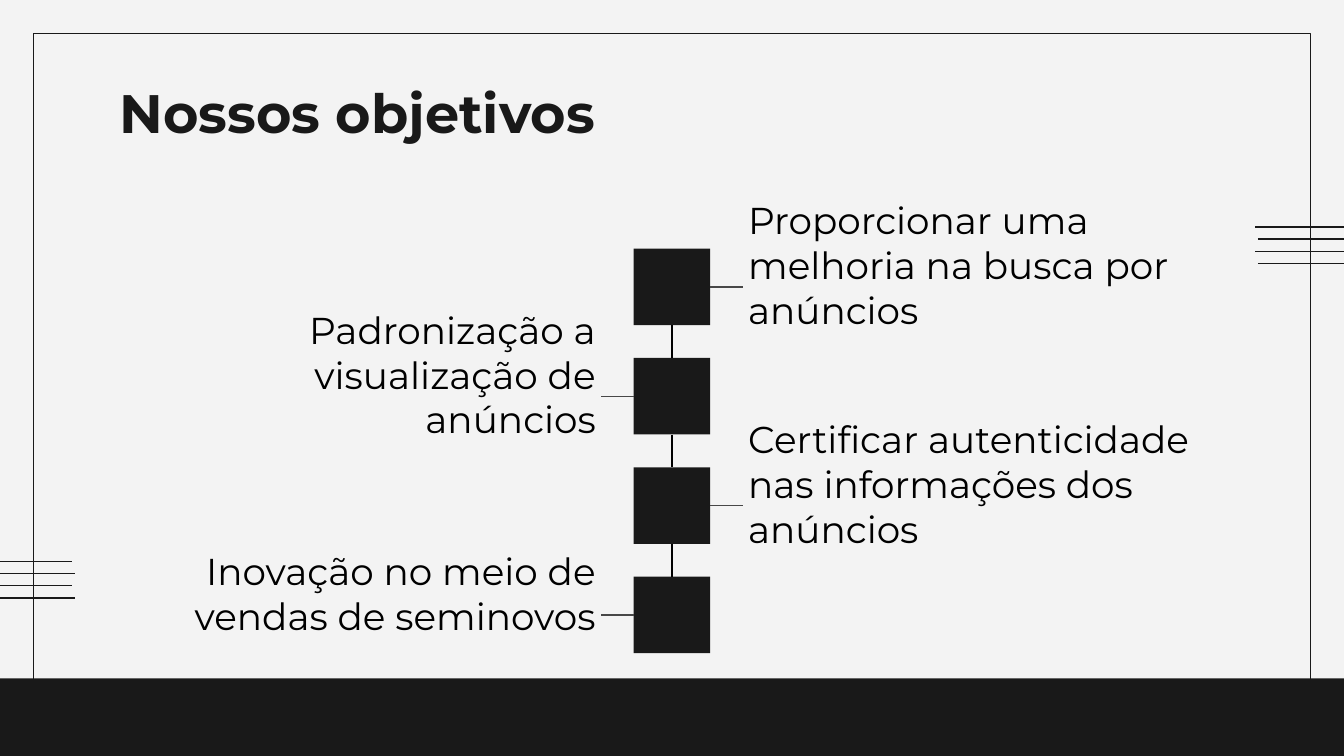
from dataclasses import dataclass

from lxml import etree
from pptx import Presentation
from pptx.dml.color import RGBColor
from pptx.enum import shapes, text
from pptx.oxml import ns
from pptx.util import Pt


@dataclass(frozen=True)
class Theme:
    paper: RGBColor = RGBColor(0xF3, 0xF3, 0xF3)
    ink: RGBColor = RGBColor(0x19, 0x19, 0x19)
    black: RGBColor = RGBColor(0, 0, 0)
    gray: RGBColor = RGBColor(0x47, 0x47, 0x47)
    font: str = "Montserrat"
    title_size: float = 29
    label_size: float = 20
    thin: float = 0.75
    thick: float = 1.5


THEME = Theme()
WIDTH, HEIGHT = 720, 405
AXIS = 360
BOX_SIZE = 41
FIRST_TOP = 133.2
PITCH = 58.6
BRANCH = 17.6
LABEL_HEIGHT = 28.8
LABEL_RISE = 5.7
RIGHT_LABEL_LEFT = 393.7
LEFT_LABEL_RIGHT = 326.3

GOALS = [
    ("Proporcionar uma melhoria na busca por anúncios", 272),
    ("Padronização a visualização de anúncios", 212.4),
    ("Certificar autenticidade nas informações dos anúncios", 289.4),
    ("Inovação no meio de vendas de seminovos", 240.5),
]


def add_box(page, kind, left, top, width, height, fill, outline=None):
    box = page.shapes.add_shape(kind, Pt(left), Pt(top), Pt(width), Pt(height))
    box.shadow.inherit = False
    box.fill.solid()
    box.fill.fore_color.rgb = fill
    if outline is None:
        box.line.fill.background()
    else:
        box.line.color.rgb = outline
        box.line.width = Pt(THEME.thin)
    return box


def add_line(page, start, end, color, weight):
    line = page.shapes.add_connector(
        shapes.MSO_CONNECTOR.STRAIGHT, *(Pt(value) for value in start + end)
    )
    line.line.color.rgb = color
    line.line.width = Pt(weight)
    etree.SubElement(line._element.spPr, ns.qn("a:effectLst"))
    return line


def add_text(page, words, left, top, width, height, size, color,
             align=text.PP_ALIGN.LEFT, anchor=text.MSO_ANCHOR.TOP, bold=False):
    box = page.shapes.add_textbox(Pt(left), Pt(top), Pt(width), Pt(height))
    frame = box.text_frame
    frame.word_wrap = True
    frame.vertical_anchor = anchor
    frame.margin_left = frame.margin_right = Pt(7.2)
    frame.margin_top = frame.margin_bottom = Pt(7.2)
    para = frame.paragraphs[0]
    para.alignment = align
    span = para.add_run()
    span.text = words
    span.font.name = THEME.font
    span.font.size = Pt(size)
    span.font.bold = bold
    span.font.color.rgb = color


def add_stripes(page, left, top, shifts):
    for row, shift in enumerate(shifts):
        x, y = left + shift, top + row * 6.5
        add_line(page, (x, y), (x + 52.5, y), THEME.ink, THEME.thin)


def add_backdrop(page):
    page.background.fill.solid()
    page.background.fill.fore_color.rgb = THEME.paper
    rectangle = shapes.MSO_SHAPE.RECTANGLE
    add_box(page, rectangle, 18, 18, 684, 369.5, THEME.paper, THEME.ink)
    add_stripes(page, 672.5, 121.6, (0, 1.4, 0, 1.4))
    add_stripes(page, -13.7, 300.8, (0, 1.4, 0, 1.4))
    add_box(page, rectangle, 0, 363.5, WIDTH, 41.5, THEME.ink)


def add_goal(page, index, words, width):
    on_right = index % 2 == 0
    side = 1 if on_right else -1
    top = FIRST_TOP + index * PITCH
    middle = top + BOX_SIZE / 2
    edge = AXIS + side * BOX_SIZE / 2
    left = RIGHT_LABEL_LEFT if on_right else LEFT_LABEL_RIGHT - width
    align = text.PP_ALIGN.LEFT if on_right else text.PP_ALIGN.RIGHT
    add_text(page, words, left, top - LABEL_RISE, width, LABEL_HEIGHT,
             THEME.label_size, THEME.black, align, text.MSO_ANCHOR.MIDDLE)
    box = add_box(page, shapes.MSO_SHAPE.ROUNDED_RECTANGLE, AXIS - BOX_SIZE / 2,
                  top, BOX_SIZE, BOX_SIZE, THEME.ink)
    box.adjustments[0] = 0
    branch = add_line(page, (edge, middle), (edge + side * BRANCH, middle),
                      THEME.gray, THEME.thin)
    branch.begin_connect(box, 3 if on_right else 1)
    return box


def link_boxes(page, upper, lower):
    link = add_line(page, (AXIS, 0), (AXIS, 0), THEME.black, THEME.thick)
    link.begin_connect(upper, 2)
    link.end_connect(lower, 0)


def main():
    deck = Presentation()
    deck.slide_width, deck.slide_height = Pt(WIDTH), Pt(HEIGHT)
    page = deck.slides.add_slide(deck.slide_layouts[6])
    add_backdrop(page)
    add_text(page, "Nossos objetivos", 57, 35.3, 607, 45.4,
             THEME.title_size, THEME.ink, bold=True)
    boxes = [add_goal(page, index, *goal) for index, goal in enumerate(GOALS)]
    for upper, lower in zip(boxes, boxes[1:]):
        link_boxes(page, upper, lower)
    deck.save("out.pptx")


if __name__ == "__main__":
    main()
